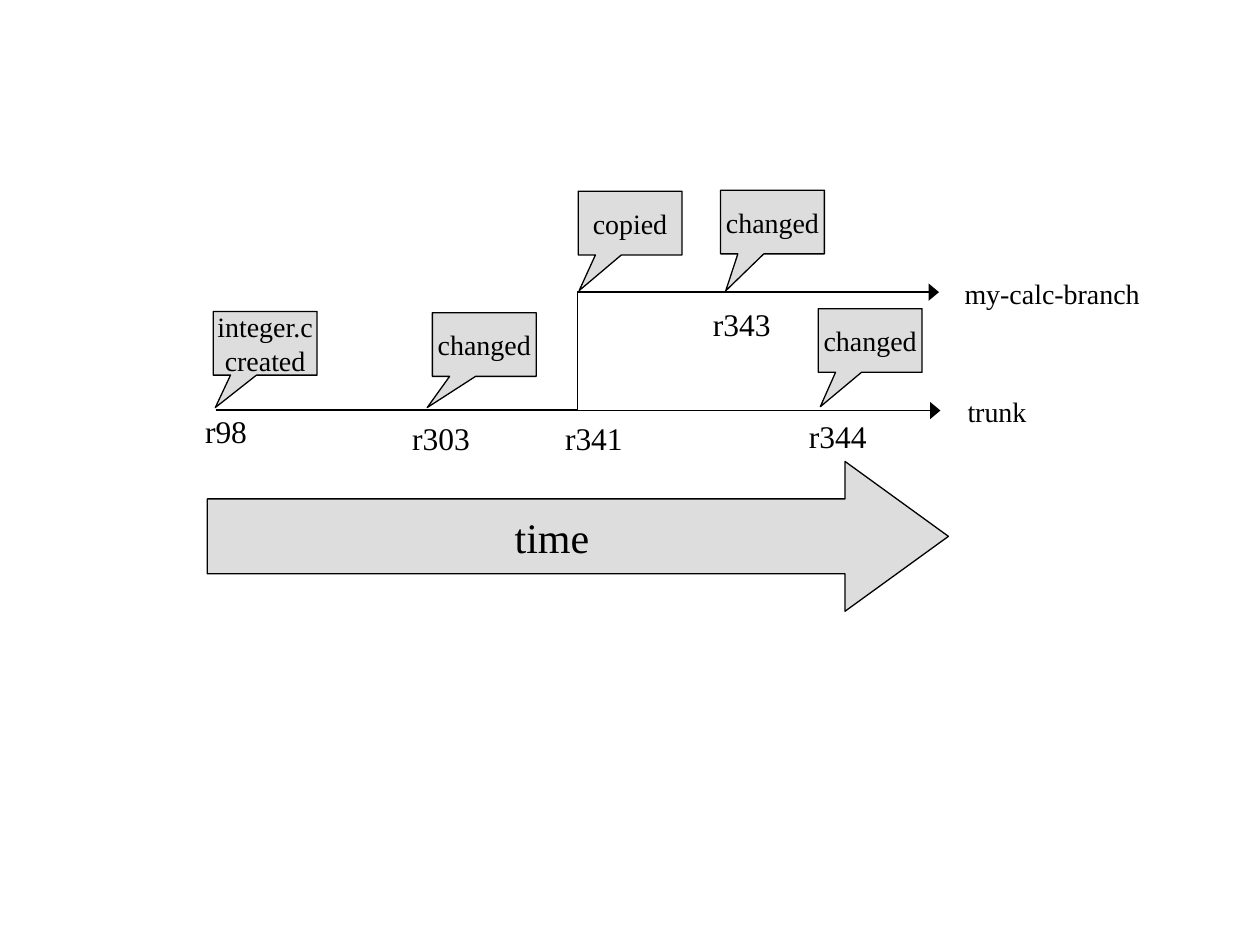
from dataclasses import dataclass

from lxml import etree
from pptx import Presentation
from pptx.dml.color import RGBColor
from pptx.enum import shapes, text
from pptx.oxml.ns import qn
from pptx.util import Pt


@dataclass(frozen=True)
class Theme:
    font: str = "Times New Roman"
    ink: RGBColor = RGBColor(0, 0, 0)
    panel: RGBColor = RGBColor(0xDD, 0xDD, 0xDD)
    line: float = 0.75
    time_size: int = 24
    revision_size: int = 18
    label_size: int = 16


theme = Theme()


def write(box, lines, size, align, anchor):
    frame = box.text_frame
    frame.word_wrap = False
    frame.vertical_anchor = anchor
    for index, line in enumerate(lines):
        para = frame.paragraphs[0] if index == 0 else frame.add_paragraph()
        para.alignment = align
        span = para.add_run()
        span.text = line
        span.font.name = theme.font
        span.font.size = Pt(size)
        span.font.color.rgb = theme.ink


def add_panel(kind, left, top, width, height, adjustments, lines, size):
    """Add a grey outlined shape with centred text."""
    panel = diagram.add_shape(kind, Pt(left), Pt(top), Pt(width), Pt(height))
    for index, value in enumerate(adjustments):
        panel.adjustments[index] = value
    panel.shadow.inherit = False
    panel.fill.solid()
    panel.fill.fore_color.rgb = theme.panel
    panel.line.color.rgb = theme.ink
    panel.line.width = Pt(theme.line)
    write(panel, lines, size, text.PP_ALIGN.CENTER, text.MSO_ANCHOR.MIDDLE)


deck = Presentation()
deck.slide_width, deck.slide_height = Pt(720), Pt(540)
page = deck.slides.add_slide(deck.slide_layouts[6])
diagram = page.shapes.add_group_shape().shapes

add_panel(shapes.MSO_SHAPE.RIGHT_ARROW, 118.5, 263.7, 423.5, 85.6,
          (0.5, 0.69), ["time"], theme.time_size)

# The trunk runs straight; the branch leaves it halfway and turns upwards
timelines = [
    (shapes.MSO_CONNECTOR.STRAIGHT, 234.6, 537.4, 234.6),
    (shapes.MSO_CONNECTOR.ELBOW, 234, 536.6, 167),
]
for kind, start_y, end_x, end_y in timelines:
    timeline = diagram.add_connector(kind, Pt(123.3), Pt(start_y), Pt(end_x), Pt(end_y))
    timeline.line.color.rgb = theme.ink
    timeline.line.width = Pt(theme.line)
    properties = timeline._element.spPr
    etree.SubElement(properties.find(qn("a:ln")), qn("a:tailEnd"),
                     type="triangle", w="lg", len="med")
    etree.SubElement(properties, qn("a:effectLst"))

# left, top, pointer offsets as shares of the callout size, lines
callouts = [
    (121.9, 178, -0.48, 1.01, ["integer.c", "created"]),
    (247.1, 178.7, -0.55, 0.99, ["changed"]),
    (330.4, 109.3, -0.49, 1.06, ["copied"]),
    (467.6, 176.4, -0.48, 1.04, ["changed"]),
    (411.8, 108.7, -0.45, 1.08, ["changed"]),
]
for left, top, pointer_x, pointer_y, lines in callouts:
    add_panel(shapes.MSO_SHAPE.RECTANGULAR_CALLOUT, left, top, 59.3, 36.4,
              (pointer_x, pointer_y), lines, theme.label_size)

# parent, left, top, width, height, label, size
labels = [
    (diagram, 110.1, 232, 40, 29, "r98", theme.revision_size),
    (diagram, 228.4, 236, 48, 29, "r303", theme.revision_size),
    (diagram, 315.8, 236, 48, 29, "r341", theme.revision_size),
    (diagram, 400.3, 170.6, 48, 29, "r343", theme.revision_size),
    (diagram, 455.2, 234.7, 48, 29, "r344", theme.revision_size),
    (page.shapes, 545.8, 221.8, 48.2, 26.6, "trunk", theme.label_size),
    (page.shapes, 544.1, 154.5, 114.5, 26.6, "my-calc-branch", theme.label_size),
]
for parent, left, top, width, height, label, size in labels:
    box = parent.add_textbox(Pt(left), Pt(top), Pt(width), Pt(height))
    write(box, [label], size, text.PP_ALIGN.LEFT, text.MSO_ANCHOR.TOP)
    box.text_frame.auto_size = text.MSO_AUTO_SIZE.SHAPE_TO_FIT_TEXT

deck.save("out.pptx")
